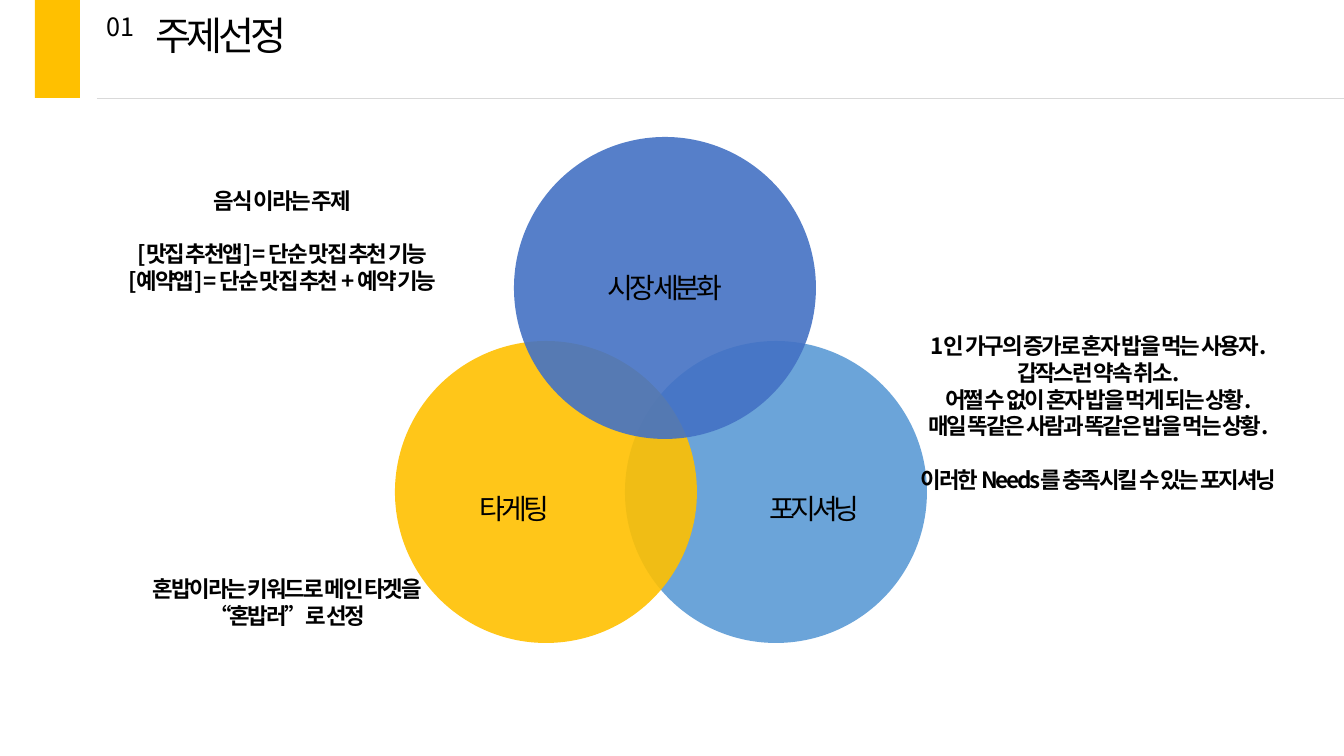
"""Build the topic selection slide with a three-circle Venn diagram."""
from lxml import etree
from pptx import Presentation
from pptx import util as u
from pptx.dml.color import RGBColor
from pptx.enum import shapes, text
from pptx.oxml.ns import qn

SCALE = 914400 / 100.8
COLORS = {"yellow": "FFC000", "sky": "5B9BD5", "blue": "4472C4",
          "rule": "D9D9D9", "black": "000000"}
SANS = "Noto Sans CJK KR"


def px(*lengths):
    return [u.Emu(round(length * SCALE)) for length in lengths]


def write(shape, lines, size, font, spacing=0, bold=False, centered=True, wrap=False, gap_at=None):
    frame = shape.text_frame
    frame.word_wrap = wrap
    frame.auto_size = text.MSO_AUTO_SIZE.SHAPE_TO_FIT_TEXT
    frame.vertical_anchor = text.MSO_ANCHOR.TOP
    frame.text = "\n".join(lines)
    for index, paragraph in enumerate(frame.paragraphs):
        paragraph.alignment = text.PP_ALIGN.CENTER if centered else text.PP_ALIGN.LEFT
        if index == gap_at:
            paragraph.space_before = u.Pt(19)
        paragraph.font.size = u.Pt(size)
        paragraph.font.name = font
        paragraph.font.bold = bold
        paragraph.font.color.rgb = RGBColor.from_string(COLORS["black"])
        properties = paragraph._p.pPr.find(qn("a:defRPr"))
        properties.set("spc", str(round(spacing * 100)))


presentation = Presentation()
presentation.slide_width, presentation.slide_height = px(1344, 756)
slide = presentation.slides.add_slide(presentation.slide_layouts[5])

accent = slide.shapes.add_shape(shapes.MSO_SHAPE.RECTANGLE, *px(35, 0, 45, 98))
accent.shadow.inherit = False
accent.fill.solid()
accent.fill.fore_color.rgb = RGBColor.from_string(COLORS["yellow"])
accent.line.fill.background()

number = slide.shapes.add_textbox(*px(97, 6, 48, 40))
write(number, ["01"], 18, SANS, centered=False)

title = slide.shapes.title
title.left, title.top, title.width, title.height = px(145, 6, 161, 57)
write(title, ["주제선정"], 28, "Arial", spacing=-3, centered=False)

rule = slide.shapes.add_connector(shapes.MSO_CONNECTOR.STRAIGHT, *px(97, 98, 1344, 98))
rule.line.color.rgb = RGBColor.from_string(COLORS["rule"])
rule.line.width = u.Pt(0.5)
etree.SubElement(rule._element.spPr, qn("a:effectLst"))

for left, top, color in [(625, 341, "sky"), (395, 341, "yellow"), (514, 137, "blue")]:
    circle = slide.shapes.add_shape(shapes.MSO_SHAPE.OVAL, *px(left, top, 302, 302))
    circle.shadow.inherit = False
    circle.fill.solid()
    circle.fill.fore_color.rgb = RGBColor.from_string(COLORS[color])
    circle.line.fill.background()
    color_element = circle._element.spPr.find(qn("a:solidFill"))[0]
    etree.SubElement(color_element, qn("a:alpha"), val="90000")

for left, top, width, label in [(468, 487, 93, "타게팅"), (756, 487, 117, "포지셔닝"),
                                (592, 266, 146, "시장 세분화")]:
    box = slide.shapes.add_textbox(*px(left, top, width, 44))
    write(box, [label], 20, "Arial", spacing=-3)

notes = [
    ((17, 570, 541, 65), None, ["혼밥이라는 키워드로 메인 타겟을", "“혼밥러”로 선정"]),
    ((790, 327, 617, 173), 4, [
        "1인 가구의 증가로 혼자 밥을 먹는 사용자.",
        "갑작스런 약속 취소.",
        "어쩔 수 없이 혼자 밥을 먹게 되는 상황.",
        "매일 똑같은 사람과 똑같은 밥을 먹는 상황.",
        "이러한 Needs를 충족시킬 수 있는 포지셔닝"]),
    ((19, 182, 527, 149), 1, [
        "음식 이라는 주제",
        "[맛집 추천앱] = 단순 맛집 추천 기능",
        "[예약앱] = 단순 맛집 추천 + 예약 기능"]),
]
for bounds, gap_at, lines in notes:
    box = slide.shapes.add_textbox(*px(*bounds))
    write(box, lines, 16, SANS, spacing=-1.5, bold=True, wrap=True, gap_at=gap_at)

presentation.save("out.pptx")
